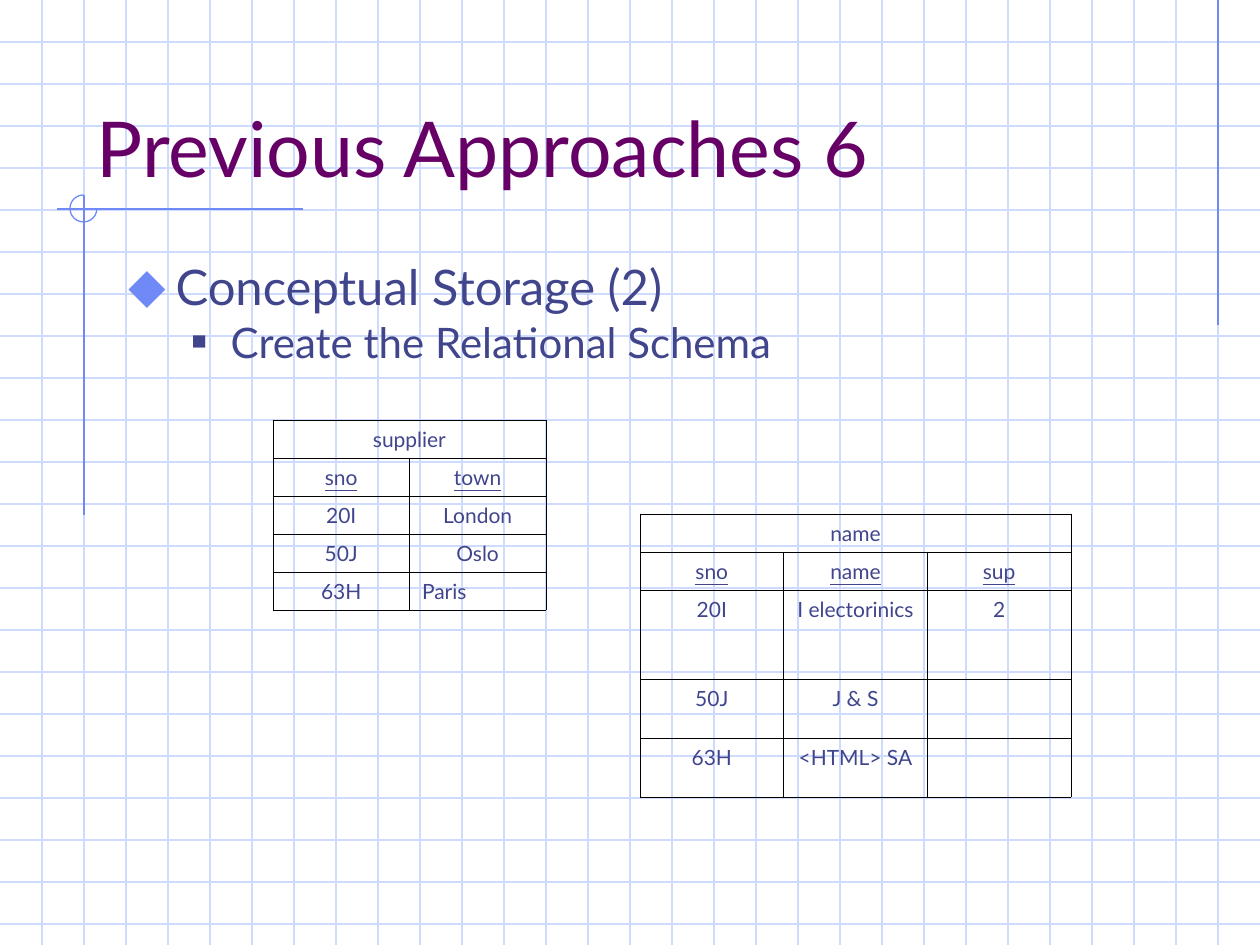
import dataclasses
import lxml.etree
import pptx
import pptx.dml.color
import pptx.enum.shapes
import pptx.enum.text
import pptx.oxml.ns
import pptx.util

WIDE, HIGH, STEP = 1260, 945, 42
ALIGN = pptx.enum.text.PP_ALIGN
qn = pptx.oxml.ns.qn


def px(n):
    return pptx.util.Emu(round(n * 914400 / 126))


def rgb(code):
    return pptx.dml.color.RGBColor.from_string(code)


def put(item, form):
    for key, val in form.items():
        setattr(item, key, val)


def add(node, tag, **attrs):
    return lxml.etree.SubElement(node, qn(tag), attrs)


@dataclasses.dataclass
class Theme:
    face: str = "Lato"
    title: str = "660066"
    text: str = "40458C"
    mark: str = "6F89F7"
    grid: str = "CFDBFD"
    edge: str = "000000"
    head: int = 44
    list: tuple = (28, 24)
    cell: int = 12
    thin: float = 0.75


class Page:
    def __init__(self, deck, theme):
        self.theme = theme
        self.slide = deck.slides.add_slide(deck.slide_layouts[1])
        self.shapes = self.slide.shapes

    def line(self, x1, y1, x2, y2, color):
        kind = pptx.enum.shapes.MSO_CONNECTOR.STRAIGHT
        item = self.shapes.add_connector(kind, px(x1), px(y1), px(x2), px(y2))
        item.line.color.rgb = rgb(color)
        item.line.width = pptx.util.Pt(self.theme.thin)
        add(item._element.spPr, "a:effectLst")

    def arc(self, x, y, size):
        kind = pptx.enum.shapes.MSO_SHAPE.ARC
        item = self.shapes.add_shape(kind, px(x), px(y), px(size), px(size))
        # Three quarters of a turn, in 60000ths of a degree over 100000
        item.adjustments[0], item.adjustments[1] = 0, 270 * 0.6
        item.shadow.inherit = False
        item.fill.background()
        item.line.color.rgb = rgb(self.theme.mark)
        item.line.width = pptx.util.Pt(self.theme.thin)

    def label(self, para, text, size, color, **form):
        run = para.add_run()
        run.text = text
        put(run.font, {"name": self.theme.face, "size": pptx.util.Pt(size), **form})
        run.font.color.rgb = rgb(color)

    def place(self, item, x, y, wide, high, anchor):
        put(item, {"left": px(x), "top": px(y), "width": px(wide), "height": px(high)})
        put(item.text_frame, {
            "word_wrap": True,
            "vertical_anchor": anchor,
            "auto_size": pptx.enum.text.MSO_AUTO_SIZE.NONE,
        })
        # Bring the text in front of the grid
        self.shapes._spTree.append(item._element)
        return item.text_frame

    def title(self, text, *box):
        frame = self.place(self.shapes.title, *box, pptx.enum.text.MSO_ANCHOR.BOTTOM)
        para = frame.paragraphs[0]
        para.alignment = ALIGN.LEFT
        self.label(para, text, self.theme.head, self.theme.title)

    def list(self, rows, *box):
        theme = self.theme
        marks = (
            ("⬥", theme.mark, 110, 47, 47, 0),
            ("■", theme.text, 60, 102, 39, 6),
        )
        frame = self.place(self.slide.placeholders[1], *box, pptx.enum.text.MSO_ANCHOR.TOP)
        for i, (level, text) in enumerate(rows):
            para = frame.add_paragraph() if i else frame.paragraphs[0]
            char, color, size, left, hang, gap = marks[level]
            props = para._p.get_or_add_pPr()
            props.set("marL", str(px(left)))
            props.set("indent", str(-px(hang)))
            add(add(props, "a:buClr"), "a:srgbClr", val=color)
            add(props, "a:buSzPct", val=str(size * 1000))
            add(props, "a:buChar", char=char)
            put(para, {
                "level": level,
                "alignment": ALIGN.LEFT,
                "line_spacing": 0.8,
                "space_before": pptx.util.Pt(gap),
            })
            self.label(para, text, theme.list[level], theme.text)

    def border(self, cell):
        props = cell._tc.get_or_add_tcPr()
        for i, side in enumerate(("lnL", "lnR", "lnT", "lnB")):
            edge = lxml.etree.Element(qn("a:" + side), w=str(pptx.util.Pt(0.45)))
            add(add(edge, "a:solidFill"), "a:srgbClr", val=self.theme.edge)
            props.insert(i, edge)

    def table(self, name, rows, x, y, wide, highs, left=()):
        count = len(rows[0])
        item = self.shapes.add_table(
            len(highs), count, px(x), px(y), px(wide), px(sum(highs)))
        table = item.table
        put(table, {"first_row": False, "horz_banding": False})
        for col in table.columns:
            col.width = px(wide / count)
        table.cell(0, 0).merge(table.cell(0, count - 1))
        grid = [[name] + [""] * (count - 1)] + rows
        for r, (high, texts) in enumerate(zip(highs, grid)):
            table.rows[r].height = px(high)
            for c, text in enumerate(texts):
                cell = table.cell(r, c)
                cell.fill.background()
                self.border(cell)
                para = cell.text_frame.paragraphs[0]
                para.alignment = ALIGN.LEFT if text in left else ALIGN.CENTER
                if text:
                    self.label(para, text, self.theme.cell, self.theme.text,
                               underline=r == 1)


def main():
    deck = pptx.Presentation()
    put(deck, {"slide_width": px(WIDE), "slide_height": px(HIGH)})
    theme = Theme()
    page = Page(deck, theme)

    # Graph paper
    for y in range(STEP, HIGH, STEP):
        page.line(0, y, WIDE, y, theme.grid)
    for x in range(STEP, WIDE, STEP):
        page.line(x, 0, x, HIGH, theme.grid)

    # Accent lines and arc
    for ends in ((1218, 0, 1218, 325), (303, 209, 57, 209), (84, 195, 84, 515)):
        page.line(*ends, theme.mark)
    page.arc(70, 195, 27)

    # Title and list
    page.title("Previous Approaches 6", 84, 42, 1071, 157)
    page.list([(0, "Conceptual Storage (2)"), (1, "Create the Relational Schema")],
              116, 262, 1071, 567)

    # Relational tables
    page.table("supplier", [
        ["sno", "town"],
        ["20I", "London"],
        ["50J", "Oslo"],
        ["63H", "Paris"],
    ], 273, 420, 273, [38] * 5, left=("Paris",))
    page.table("name", [
        ["sno", "name", "sup"],
        ["20I", "I electorinics", "2"],
        ["50J", "J & S", ""],
        ["63H", "<HTML> SA", ""],
    ], 640, 514, 431, [38, 38, 89, 59, 59])

    deck.save("out.pptx")


if __name__ == "__main__":
    main()
